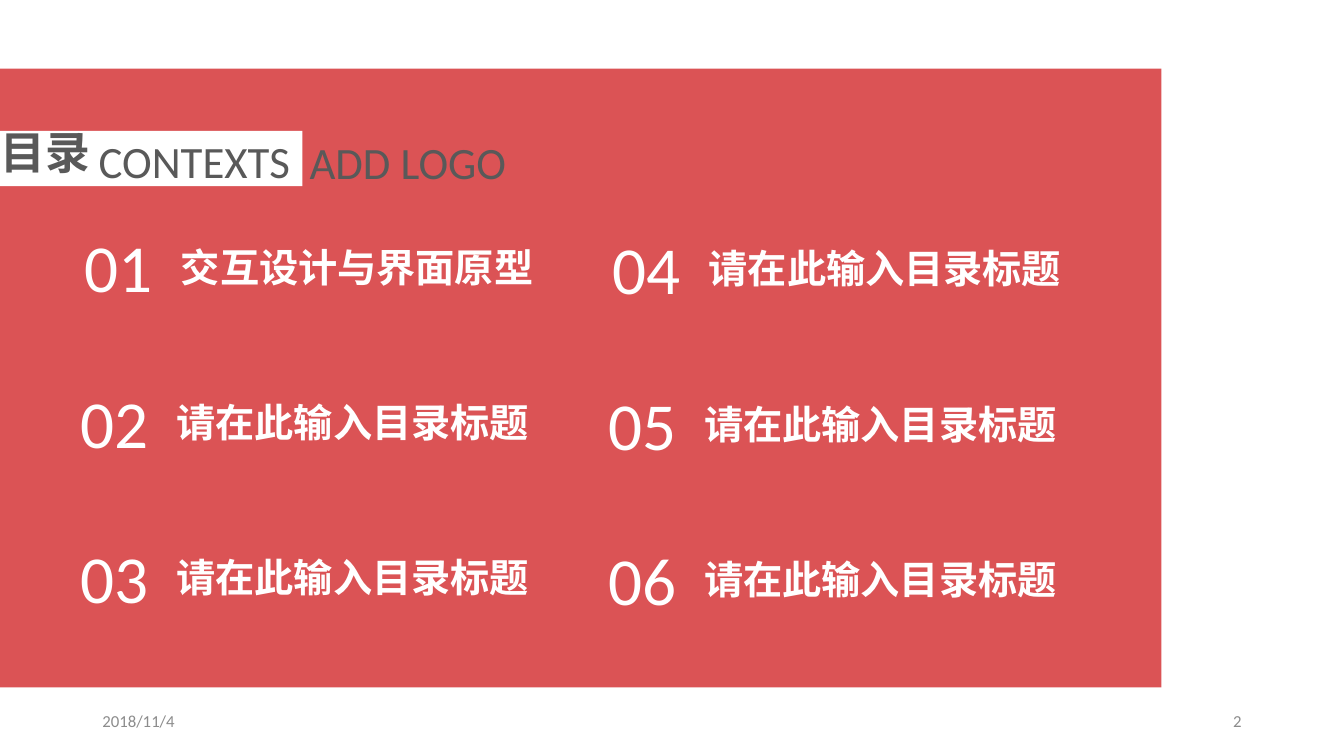
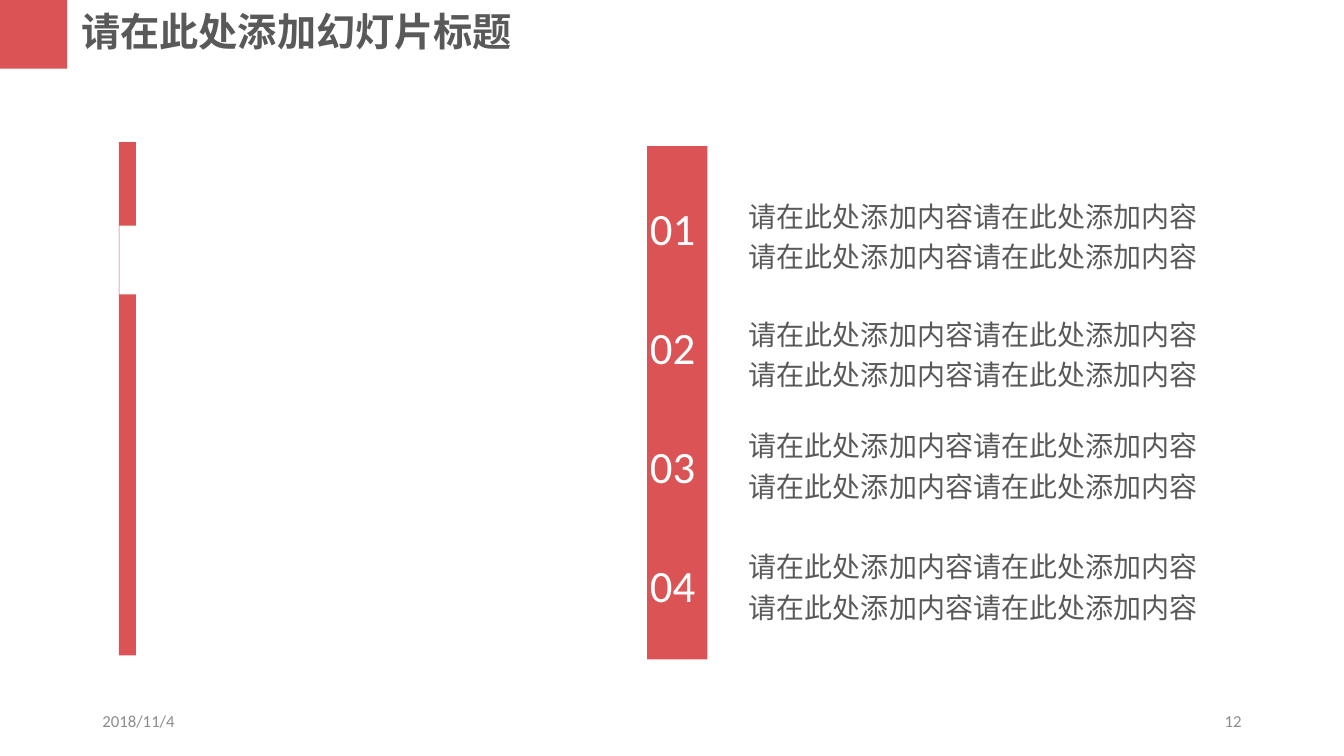
from lxml.etree import SubElement
from pptx import Presentation
from pptx.dml.color import RGBColor
from pptx.enum.shapes import MSO_SHAPE
from pptx.enum.text import MSO_ANCHOR, MSO_AUTO_SIZE, PP_ALIGN
from pptx.oxml.ns import qn
from pptx.util import Pt

RED, WHITE, INK, GREY = "DB5355", "FFFFFF", "595959", "8C8C8C"
LATIN, CHINESE = "Calibri", "Noto Sans CJK SC"
DATE = "2018/11/4"
ENTRY = "请在此输入目录标题"
ENTRIES = ["交互设计与界面原型"] + [ENTRY] * 5
POINT = "请在此处添加内容" * 4


def rgb(value):
    """Turn a hex string into a colour."""
    return RGBColor.from_string(value)


def add_block(slide, left, top, width, height, color):
    """Draw a plain filled rectangle without outline."""
    block = slide.shapes.add_shape(
        MSO_SHAPE.RECTANGLE, Pt(left), Pt(top), Pt(width), Pt(height))
    block.shadow.inherit = False
    block.fill.solid()
    block.fill.fore_color.rgb = rgb(color)
    block.line.fill.background()


def add_label(slide, text, left, top, width, height, size, color, font=LATIN,
              bold=False, align=PP_ALIGN.LEFT, anchor=MSO_ANCHOR.TOP,
              spacing=None, grow=True):
    """Place one paragraph of text in a wrapping box."""
    box = slide.shapes.add_textbox(Pt(left), Pt(top), Pt(width), Pt(height))
    frame = box.text_frame
    frame.word_wrap = True
    frame.auto_size = MSO_AUTO_SIZE.SHAPE_TO_FIT_TEXT if grow else MSO_AUTO_SIZE.NONE
    frame.vertical_anchor = anchor
    paragraph = frame.paragraphs[0]
    paragraph.alignment = align
    if spacing:
        paragraph.line_spacing = spacing
    run = paragraph.add_run()
    run.text = text
    run.font.size = Pt(size)
    run.font.bold = bold
    run.font.color.rgb = rgb(color)
    run.font.name = font
    SubElement(run.font._element, qn("a:ea")).set("typeface", font)


def add_footer(slide, number):
    """Write the date on the left and the slide number on the right."""
    for text, left, align in ((DATE, 66, PP_ALIGN.LEFT), (number, 678, PP_ALIGN.RIGHT)):
        add_label(slide, text, left, 500.5, 216, 28.75, 12, GREY, align=align,
                  anchor=MSO_ANCHOR.MIDDLE, grow=False)


def add_entry(slide, index, title):
    """Place a numbered entry in the two-column contents grid."""
    column, row = divmod(index, 3)
    indent = 3.2 if row == 0 else 0
    left = 50.2 + 377 * column + indent
    top = 157.7 + 1.4 * column + 110.9 * row
    add_label(slide, f"{index + 1:02}", left, top, 96, 65.4, 48, WHITE)
    add_label(slide, title, left + 68.8, top + 12.2, 281.6, 41.2, 28, WHITE,
              CHINESE, bold=True)


def build_contents(slide):
    """Build the contents slide."""
    add_block(slide, 0, 49, 829.5, 442, RED)
    add_block(slide, 0, 93.5, 216, 39.5, WHITE)
    add_label(slide, "ADD LOGO", 214, 93, 190, 46, 32, INK)
    add_label(slide, "目录", -6.5, 85.5, 86.5, 46, 32, INK, CHINESE, bold=True)
    add_label(slide, "CONTEXTS", 63.4, 92, 190, 46, 32, INK)
    for index, title in enumerate(ENTRIES):
        add_entry(slide, index, title)
    add_footer(slide, "2")


def build_points(slide):
    """Build the slide with four numbered points."""
    add_block(slide, 0, 0, 48, 49, RED)
    add_label(slide, "请在此处添加幻灯片标题", 51, 2, 353, 41.2, 28, INK,
              CHINESE, bold=True)
    add_block(slide, 462.3, 104.4, 43, 366.6, RED)
    add_block(slide, 85, 101.6, 12.2, 366.6, RED)
    add_block(slide, 85.2, 161.2, 48, 49, WHITE)
    for index, top in enumerate((133.9, 218.2, 298.1, 384.5)):
        add_label(slide, f"{index + 1:02}", 457.2, 139.6 + 85 * index, 60, 46,
                  32, WHITE)
        add_label(slide, POINT, 527.8, top, 343.5, 62.6, 20, INK, CHINESE,
                  spacing=1.2)
    add_footer(slide, "12")


def main():
    """Build and save the presentation."""
    deck = Presentation()
    deck.slide_width, deck.slide_height = Pt(960), Pt(540)
    for build in (build_contents, build_points):
        build(deck.slides.add_slide(deck.slide_layouts[6]))
    deck.save("out.pptx")


if __name__ == "__main__":
    main()
